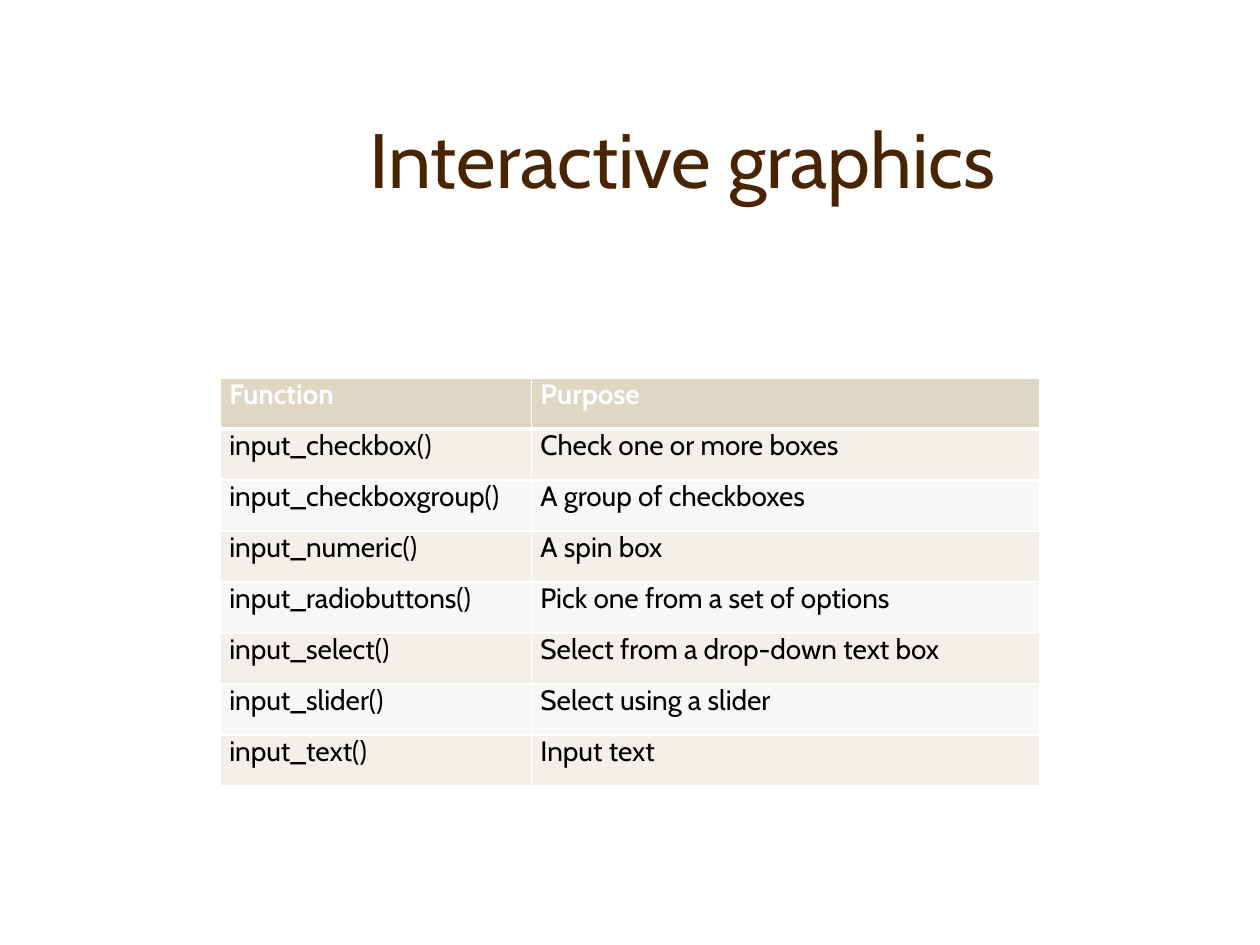
from dataclasses import dataclass

import lxml.etree
import pptx
import pptx.dml.color
import pptx.enum.text
import pptx.oxml.ns
import pptx.util

Inches = pptx.util.Inches
Pt = pptx.util.Pt


@dataclass(frozen=True)
class Theme:
    font: str = "Cabin"
    title: str = "482400"
    text: str = "000000"
    white: str = "FFFFFF"
    header: str = "DFD6C3"
    bands: tuple[str, str] = ("F3F0E9", "F9F7F5")
    title_size: int = 44
    table_size: int = 16
    rule: int = 1
    header_rule: int = 3


@dataclass(frozen=True)
class InputFunction:
    name: str
    purpose: str


THEME = Theme()

FUNCTIONS = [
    InputFunction("input_checkbox()", "Check one or more boxes"),
    InputFunction("input_checkboxgroup()", "A group of checkboxes"),
    InputFunction("input_numeric()", "A spin box"),
    InputFunction("input_radiobuttons()", "Pick one from a set of options"),
    InputFunction("input_select()", "Select from a drop-down text box"),
    InputFunction("input_slider()", "Select using a slider"),
    InputFunction("input_text()", "Input text"),
]


def rgb(color: str) -> pptx.dml.color.RGBColor:
    return pptx.dml.color.RGBColor.from_string(color)


def add_run(p, text: str, size: int, color: str, bold: bool = False) -> None:
    r = p.add_run()
    r.text = text
    r.font.name = THEME.font
    r.font.size = Pt(size)
    r.font.bold = bold
    r.font.color.rgb = rgb(color)


def add_title(s, text: str) -> None:
    sp = s.shapes.add_textbox(Inches(1.17), Inches(0.42), Inches(8.5), Inches(1.25))
    tf = sp.text_frame
    tf.word_wrap = True
    tf.vertical_anchor = pptx.enum.text.MSO_ANCHOR.BOTTOM
    p = tf.paragraphs[0]
    p.alignment = pptx.enum.text.PP_ALIGN.CENTER
    add_run(p, text, THEME.title_size, THEME.title)


def set_borders(cell, top: int, bottom: int) -> None:
    qn = pptx.oxml.ns.qn
    tc_pr = cell._tc.get_or_add_tcPr()
    widths = {"lnL": THEME.rule, "lnR": THEME.rule, "lnT": top, "lnB": bottom}
    for side, width in widths.items():
        ln = lxml.etree.SubElement(tc_pr, qn(f"a:{side}"), w=str(Pt(width)))
        fill = lxml.etree.SubElement(ln, qn("a:solidFill"))
        lxml.etree.SubElement(fill, qn("a:srgbClr"), val=THEME.white)


def fill_cell(cell, text: str, row: int) -> None:
    is_header = row == 0
    set_borders(
        cell,
        top=THEME.header_rule if row == 1 else THEME.rule,
        bottom=THEME.header_rule if is_header else THEME.rule,
    )
    cell.fill.solid()
    cell.fill.fore_color.rgb = rgb(THEME.header if is_header else THEME.bands[(row - 1) % 2])
    cell.margin_left = cell.margin_right = Inches(0.07)
    cell.margin_top = cell.margin_bottom = 0
    color = THEME.white if is_header else THEME.text
    add_run(cell.text_frame.paragraphs[0], text, THEME.table_size, color, is_header)


def add_function_table(s, functions: list[InputFunction]) -> None:
    rows = [("Function", "Purpose")] + [(f.name, f.purpose) for f in functions]
    table = s.shapes.add_table(
        len(rows), 2, Inches(1.75), Inches(3), Inches(6.5), Inches(3.24)
    ).table
    for column, width in zip(table.columns, (2.47, 4.03)):
        column.width = Inches(width)
    for i, texts in enumerate(rows):
        for j, text in enumerate(texts):
            fill_cell(table.cell(i, j), text, i)


def main() -> None:
    prs = pptx.Presentation()
    prs.slide_width = Inches(10)
    prs.slide_height = Inches(7.5)
    s = prs.slides.add_slide(prs.slide_layouts[6])
    add_title(s, "Interactive graphics")
    add_function_table(s, FUNCTIONS)
    prs.save("out.pptx")


if __name__ == "__main__":
    main()
